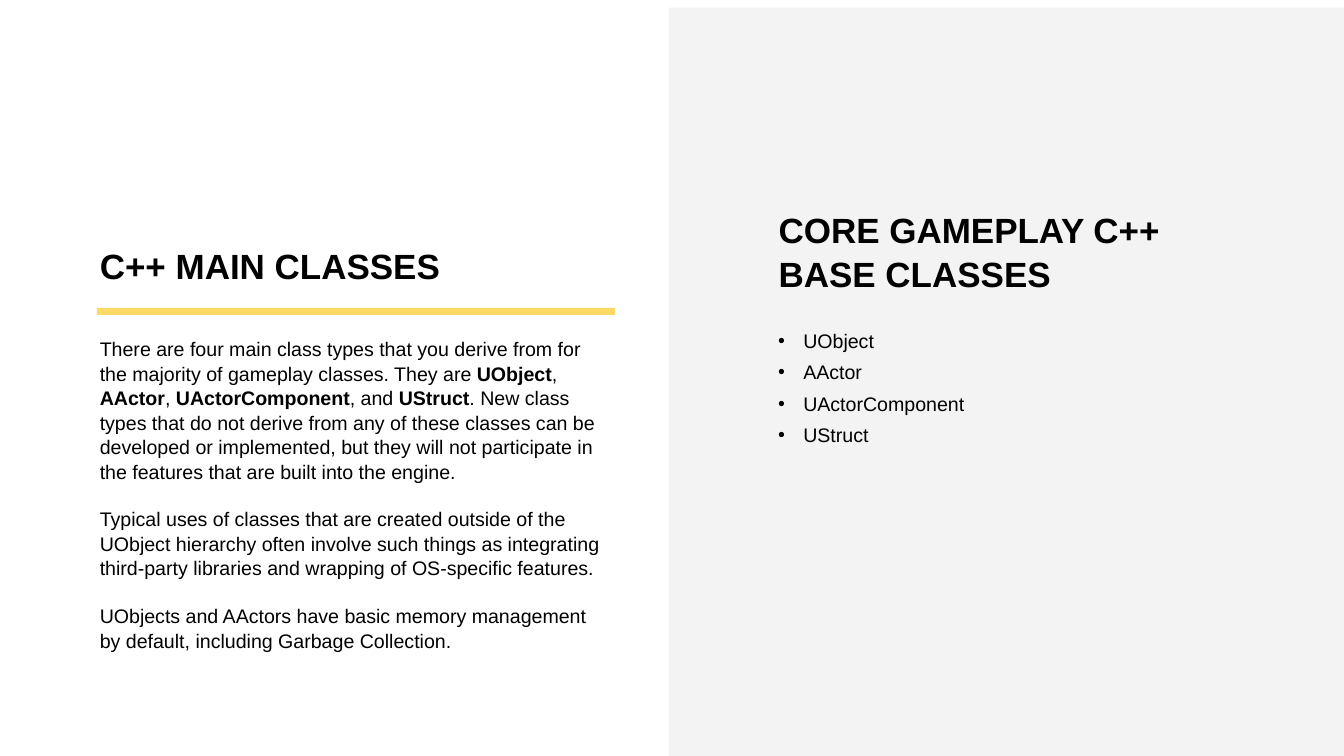
import dataclasses
import typing

import pptx
import pptx.dml.color
import pptx.enum.shapes
import pptx.enum.text
import pptx.oxml.xmlchemy
import pptx.util
import lxml.etree

EMU_PER_PX = 9144
FONT_NAME = "Arial"
BLACK = "000000"
PANEL_GREY = "F3F3F3"
RULE_YELLOW = "FFD966"
LINE_SPACING = 1.04
INSET = 6
BULLET_INDENT = 50
COMPARISON_LAYOUT = 4
DRAWING_NAMESPACE = "http://schemas.openxmlformats.org/drawingml/2006/main"

Anchor = pptx.enum.text.MSO_ANCHOR


class Box(typing.NamedTuple):
    left: int
    top: int
    width: int
    height: int


class Run(typing.NamedTuple):
    text: str
    bold: bool = False


@dataclasses.dataclass
class TextBlock:
    placeholder_index: int
    box: Box
    paragraphs: list[list[Run]]
    size: int = 28
    anchor: Anchor = Anchor.TOP
    space_after: float = 0
    bulleted: bool = False


@dataclasses.dataclass
class Band:
    box: Box
    color: str


CLASS_NAMES = ["UObject", "AActor", "UActorComponent", "UStruct"]

BANDS = [
    Band(Box(1327, 15, 1340, 1485), PANEL_GREY),
    Band(Box(192, 611, 1028, 14), RULE_YELLOW),
]

INTRODUCTION = [
    Run("There are four main class types that you derive from for the majority of gameplay classes. They are "),
    Run("UObject", True),
    Run(", "),
    Run("AActor", True),
    Run(", "),
    Run("UActorComponent", True),
    Run(", and "),
    Run("UStruct", True),
    Run(". New class types that do not derive from any of these classes can be developed or implemented, "
        "but they will not participate in the features that are built into the engine."),
]
TYPICAL_USES = [
    Run("Typical uses of classes that are created outside of the UObject hierarchy often involve such things "
        "as integrating third-party libraries and wrapping of OS-specific features."),
]
MEMORY = [
    Run("UObjects and AActors have basic memory management by default, including Garbage Collection."),
]

TEXT_BLOCKS = [
    TextBlock(0, Box(192, 480, 981, 95), [[Run("C++ MAIN CLASSES", True)]], 50, Anchor.BOTTOM),
    TextBlock(2, Box(192, 661, 1028, 624), [INTRODUCTION, TYPICAL_USES, MEMORY], space_after=33.5),
    TextBlock(3, Box(1539, 410, 981, 180), [[Run("CORE GAMEPLAY C++ BASE CLASSES", True)]], 50, Anchor.BOTTOM),
    TextBlock(4, Box(1538, 644, 1010, 242), [[Run(name)] for name in CLASS_NAMES],
              space_after=10, bulleted=True),
]


def px(length: int) -> pptx.util.Emu:
    return pptx.util.Emu(length * EMU_PER_PX)


def rgb(color: str) -> pptx.dml.color.RGBColor:
    return pptx.dml.color.RGBColor.from_string(color)


def draw_band(slide: typing.Any, band: Band) -> typing.Any:
    shape = slide.shapes.add_shape(pptx.enum.shapes.MSO_SHAPE.RECTANGLE, *map(px, band.box))
    shape.shadow.inherit = False
    shape.fill.solid()
    shape.fill.fore_color.rgb = rgb(band.color)
    shape.line.fill.background()
    return shape


def set_bullet(paragraph: typing.Any, bulleted: bool) -> None:
    properties = paragraph._p.get_or_add_pPr()
    indent = px(BULLET_INDENT) if bulleted else 0
    properties.set("marL", str(indent))
    properties.set("indent", str(-indent))
    tag = "buChar" if bulleted else "buNone"
    bullet = lxml.etree.SubElement(properties, f"{{{DRAWING_NAMESPACE}}}{tag}")
    if bulleted:
        bullet.set("char", "•")


def add_run(paragraph: typing.Any, content: Run, size: int) -> None:
    run = paragraph.add_run()
    run.text = content.text
    run.font.name = FONT_NAME
    run.font.size = pptx.util.Pt(size)
    run.font.bold = content.bold
    run.font.color.rgb = rgb(BLACK)


def fill_placeholder(slide: typing.Any, block: TextBlock) -> None:
    shape = slide.placeholders[block.placeholder_index]
    shape.left, shape.top, shape.width, shape.height = map(px, block.box)
    frame = shape.text_frame
    frame.word_wrap = True
    frame.auto_size = pptx.enum.text.MSO_AUTO_SIZE.NONE
    frame.vertical_anchor = block.anchor
    frame.margin_left = frame.margin_right = px(INSET)
    frame.margin_top = frame.margin_bottom = px(INSET)
    for index, runs in enumerate(block.paragraphs):
        paragraph = frame.add_paragraph() if index else frame.paragraphs[0]
        is_last = index == len(block.paragraphs) - 1
        paragraph.alignment = pptx.enum.text.PP_ALIGN.LEFT
        paragraph.line_spacing = LINE_SPACING
        paragraph.space_before = pptx.util.Pt(0)
        paragraph.space_after = pptx.util.Pt(0 if is_last else block.space_after)
        set_bullet(paragraph, block.bulleted)
        for content in runs:
            add_run(paragraph, content, block.size)


def main() -> None:
    presentation = pptx.Presentation()
    presentation.slide_width = px(2667)
    presentation.slide_height = px(1500)
    slide = presentation.slides.add_slide(presentation.slide_layouts[COMPARISON_LAYOUT])

    used = {block.placeholder_index for block in TEXT_BLOCKS}
    for placeholder in list(slide.placeholders):
        if placeholder.placeholder_format.idx not in used:
            placeholder.element.getparent().remove(placeholder.element)

    tree = slide.shapes._spTree
    for position, band in enumerate(BANDS, start=2):
        tree.insert(position, draw_band(slide, band)._element)
    for block in TEXT_BLOCKS:
        fill_placeholder(slide, block)

    presentation.save("out.pptx")


if __name__ == "__main__":
    main()
